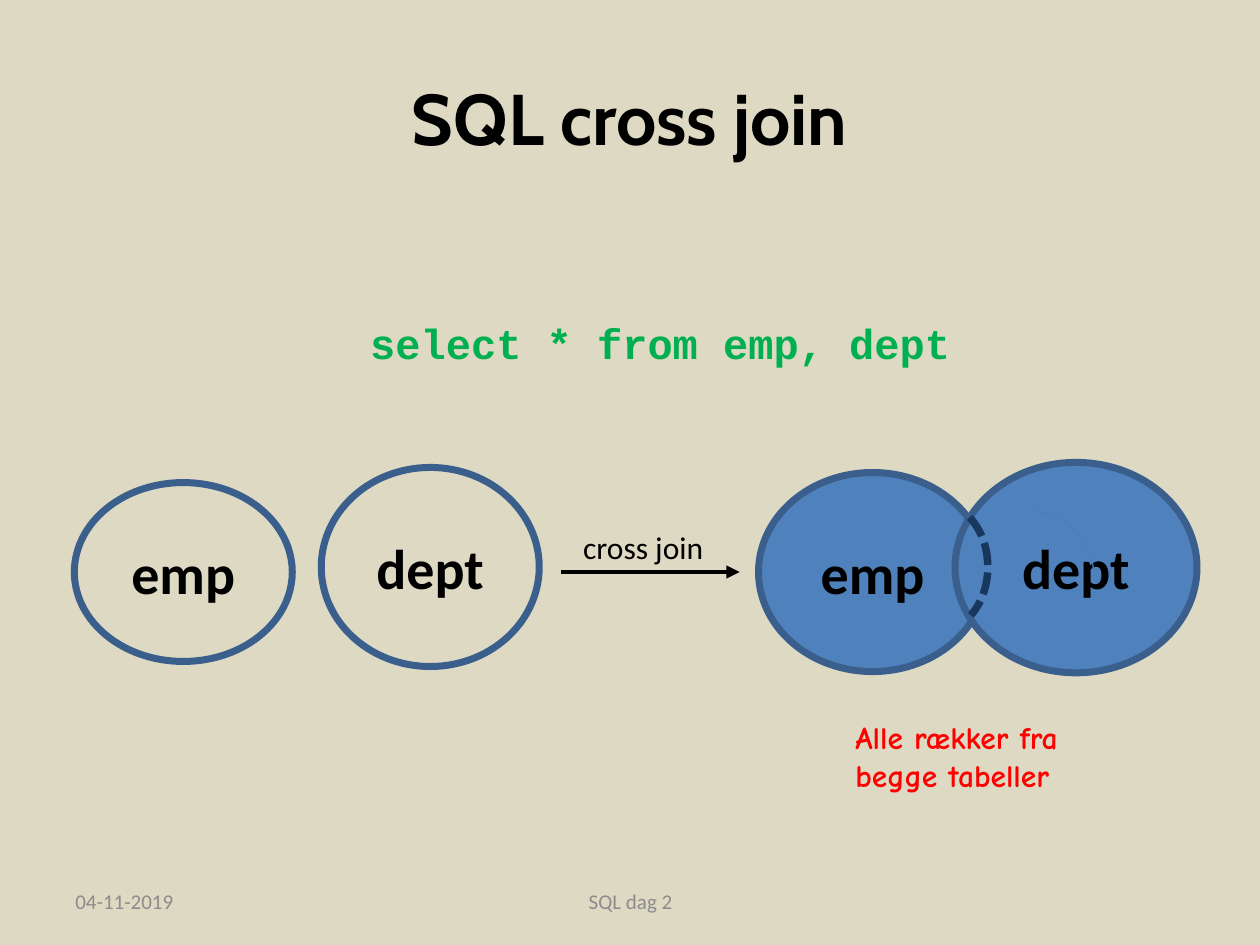
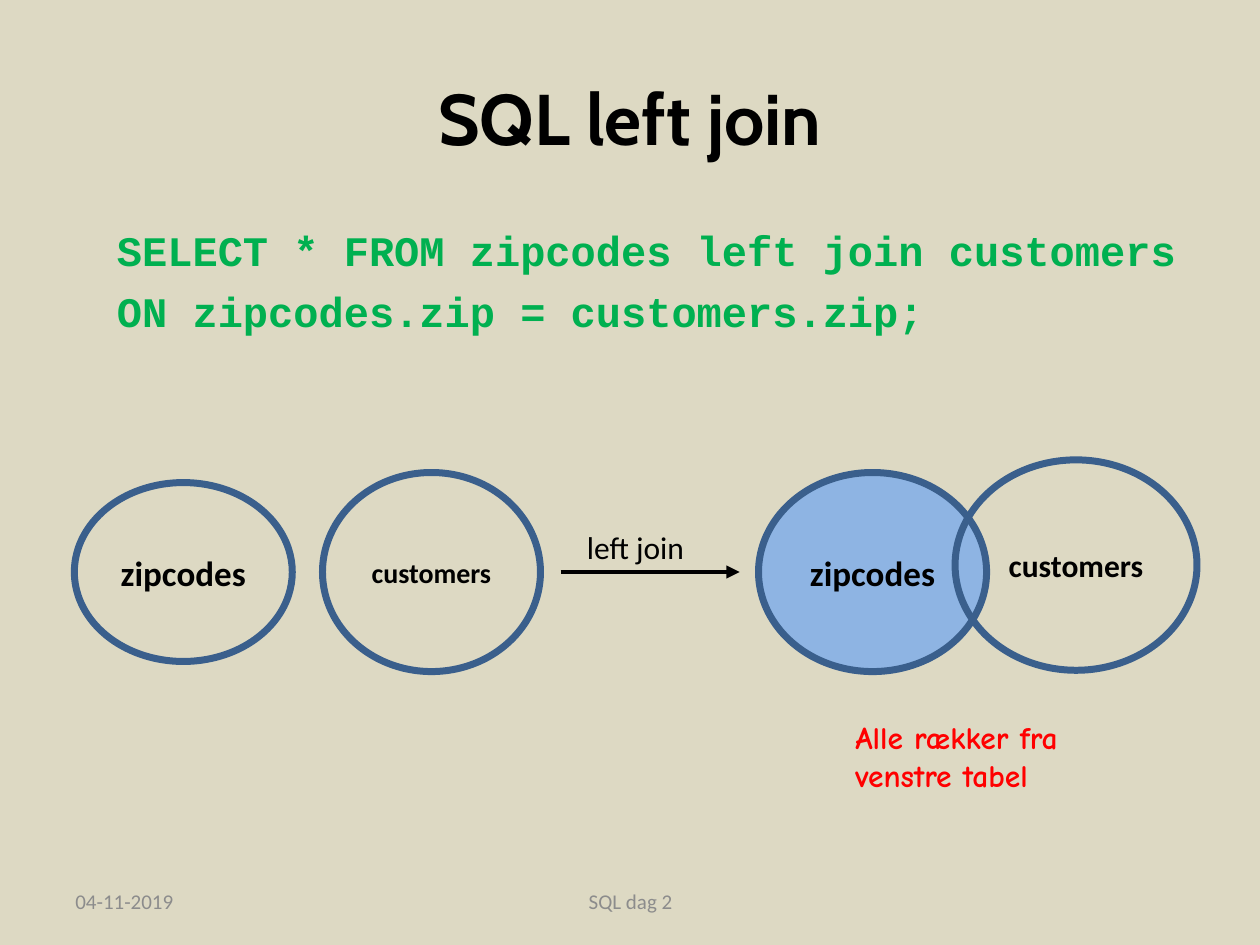
import pptx
import pptx.dml.color
import pptx.enum.dml
import pptx.enum.shapes
import pptx.enum.text
import pptx.util
import lxml.etree
import pptx.oxml.ns

SHAPES = pptx.enum.shapes.MSO_SHAPE
ALIGN = pptx.enum.text.PP_ALIGN
ANCHOR = pptx.enum.text.MSO_ANCHOR
COLUMNS, ROWS = 100, 75
BACKGROUND, BLACK, GREY = "DDD9C3", "000000", "8C8C8C"
CODE_GREEN, NOTE_RED = "00B050", "FF0000"
OUTLINE, BLUE, LIGHT_BLUE = "3A5F8C", "4F81BD", "8EB4E3"
HIDDEN_EDGE, FAINT_EDGE = "17375E", "4B7EBC"


def color(value):
    return pptx.dml.color.RGBColor.from_string(value)


class JoinDeck:
    def __init__(self):
        self.presentation = pptx.Presentation()
        self.presentation.slide_width = pptx.util.Inches(10)
        self.presentation.slide_height = pptx.util.Inches(7.5)
        self.slide = None

    def place(self, column, row):
        return (round(self.presentation.slide_width * column / COLUMNS),
                round(self.presentation.slide_height * row / ROWS))

    def box(self, area):
        return self.place(*area[:2]) + self.place(*area[2:])

    def set_text(self, shape, lines, size, font="Calibri", text_color=BLACK,
                 bold=False, align=ALIGN.LEFT, anchor=ANCHOR.TOP, space=0):
        frame = shape.text_frame
        frame.word_wrap = True
        frame.vertical_anchor = anchor
        frame.text = "\n".join(lines)
        for paragraph in frame.paragraphs:
            paragraph.alignment = align
            paragraph.space_before = pptx.util.Pt(space)
            paragraph.font.size = pptx.util.Pt(size)
            paragraph.font.name = font
            paragraph.font.bold = bold
            paragraph.font.color.rgb = color(text_color)

    def text(self, area, lines, size, **style):
        self.set_text(self.slide.shapes.add_textbox(*self.box(area)), lines, size, **style)

    def outlined(self, kind, area, line_color, width, fill=None):
        shape = self.slide.shapes.add_shape(kind, *self.box(area))
        shape.shadow.inherit = False
        if fill:
            shape.fill.solid()
            shape.fill.fore_color.rgb = color(fill)
        else:
            shape.fill.background()
        shape.line.color.rgb = color(line_color)
        shape.line.width = pptx.util.Pt(width)
        return shape

    def table_circle(self, area, name, size, fill=None):
        circle = self.outlined(SHAPES.OVAL, area, OUTLINE, 4, fill)
        self.set_text(circle, [name], size, bold=True, align=ALIGN.CENTER,
                      anchor=ANCHOR.MIDDLE)

    def arc(self, area, line_color, width, angles=(270, 0), dash=None):
        arc = self.outlined(SHAPES.ARC, area, line_color, width)
        for index, angle in enumerate(angles):
            arc.adjustments[index] = angle * 0.6
        if dash:
            arc.line.dash_style = dash

    def arrow(self, start, end):
        connector = self.slide.shapes.add_connector(
            pptx.enum.shapes.MSO_CONNECTOR.STRAIGHT, *self.place(*start), *self.place(*end))
        connector.line.color.rgb = color(BLACK)
        connector.line.width = pptx.util.Pt(2.5)
        properties = connector._element.spPr
        line = properties.find(pptx.oxml.ns.qn("a:ln"))
        lxml.etree.SubElement(line, pptx.oxml.ns.qn("a:tailEnd"), type="triangle")
        lxml.etree.SubElement(properties, pptx.oxml.ns.qn("a:effectLst"))

    def join_slide(self, join, code_area, code, note, label_column):
        self.slide = self.presentation.slides.add_slide(self.presentation.slide_layouts[6])
        self.slide.background.fill.solid()
        self.slide.background.fill.fore_color.rgb = color(BACKGROUND)
        self.text((5, 3, 90, 12.5), [f"SQL {join}"], 41, font="Cabin", bold=True,
                  align=ALIGN.CENTER, anchor=ANCHOR.MIDDLE)
        self.text(code_area, code, 24, font="Courier New", text_color=CODE_GREEN,
                  bold=True, space=6.5)
        self.text((5, 69.5, 23.3, 4), ["04-11-2019"], 12, text_color=GREY,
                  anchor=ANCHOR.MIDDLE)
        self.text((34.2, 69.5, 31.7, 4), ["SQL dag 2"], 12, text_color=GREY,
                  align=ALIGN.CENTER, anchor=ANCHOR.MIDDLE)
        self.text((66.9, 56.5, 24.4, 7.1), [note], 18, font="Comic Neue",
                  text_color=NOTE_RED, bold=True)
        self.arrow((44.5, 45.4), (58.7, 45.4))
        self.text((label_column, 41.4, 13.1, 4), [join], 18)

    def circles(self, left, right, right_before, right_after):
        name, size, fill = left
        self.table_circle((5.9, 38.3, 17.3, 14.2), name, size)
        self.table_circle((60.2, 37.5, 18.1, 15.8), name, size, fill)
        name, before_size, after_size, fill = right
        self.table_circle((*right_before, 17.3, 15.8), name, before_size)
        self.table_circle((*right_after, 19.2, 16.7), name, after_size, fill)


def main():
    deck = JoinDeck()
    deck.join_slide("cross join", (28.4, 24.7, 67.3, 6), ["select * from emp, dept"],
                    "Alle rækker fra begge tabeller", 45.3)
    deck.circles(("emp", 32, BLUE), ("dept", 32, 32, BLUE), (25.5, 37.1), (75.8, 36.7))
    deck.arc((76.8, 40.6, 10, 10), FAINT_EDGE, 0.75)
    deck.arc((70.5, 39.9, 7.9, 10.2), HIDDEN_EDGE, 4.25, (302.5, 55.7),
             pptx.enum.dml.MSO_LINE.SQUARE_DOT)

    deck.join_slide("left join", (8.3, 17.3, 87.4, 12),
                    ["SELECT * FROM zipcodes left join customers",
                     "ON zipcodes.zip = customers.zip;"],
                    "Alle rækker fra venstre tabel", 45.6)
    deck.circles(("zipcodes", 20, LIGHT_BLUE), ("customers", 16, 18, None),
                 (25.6, 37.5), (75.8, 36.5))
    deck.presentation.save("out.pptx")


if __name__ == "__main__":
    main()
